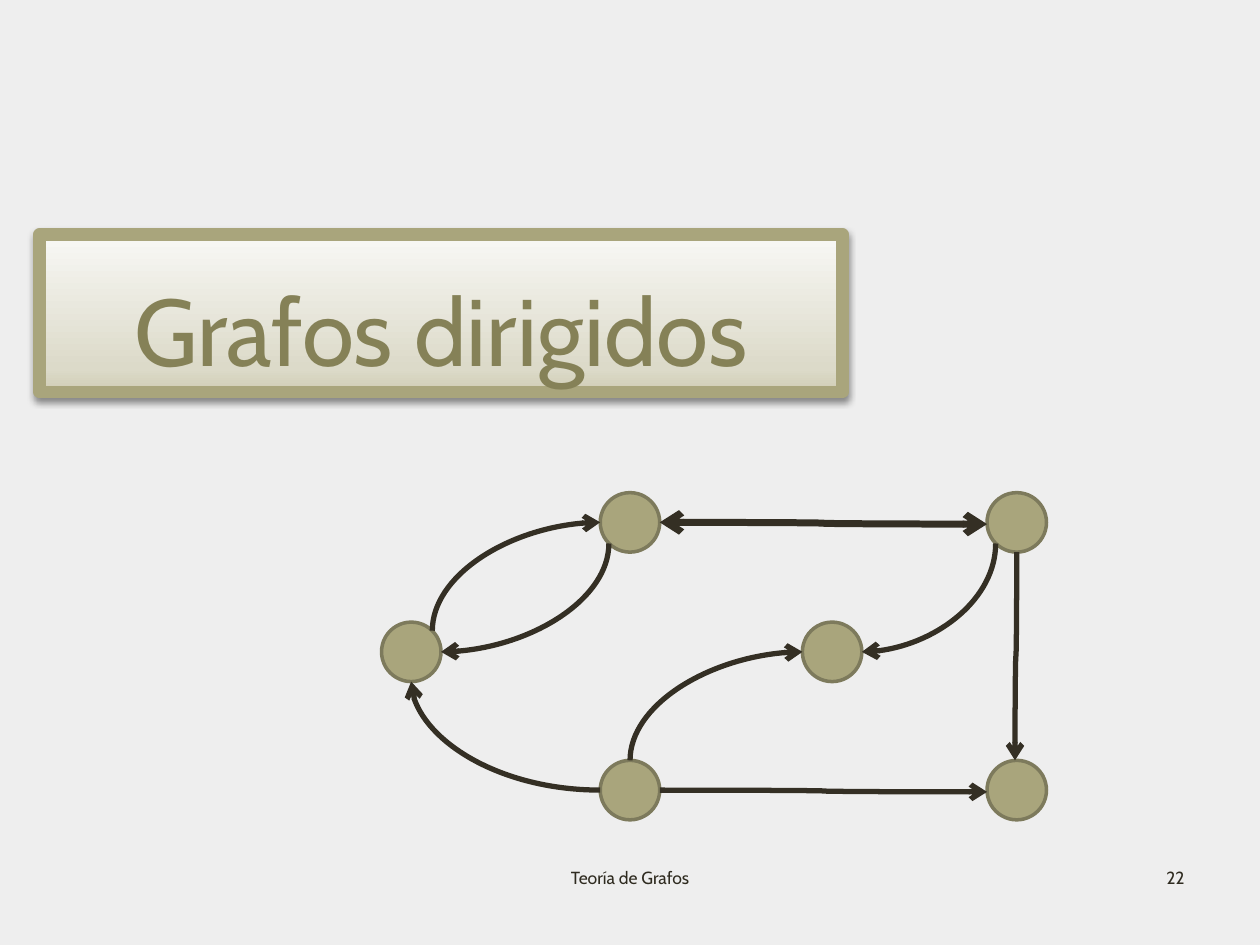
import lxml.etree
import pptx
import pptx.dml.color
import pptx.enum.shapes
import pptx.enum.text
import pptx.oxml.ns
import pptx.util

Pt = pptx.util.Pt
qn = pptx.oxml.ns.qn
ALIGN = pptx.enum.text.PP_ALIGN
ANCHOR = pptx.enum.text.MSO_ANCHOR


def color(value):
    return pptx.dml.color.RGBColor.from_string(value)


def apply(target, values):
    for name, value in values.items():
        setattr(target, name, value)


def add_xml(parent, tag, **attributes):
    return lxml.etree.SubElement(parent, qn(tag), attributes)


class GraphSlide:
    font = "Cabin"
    ink = "2F2B20"
    edge_color = "342F24"
    node_fill = "A9A57C"
    node_line = "7D7A5C"
    diameter = 34
    sites = {
        "top": (0, -1), "bottom": (0, 1), "left": (-1, 0), "right": (1, 0),
        "top_right": (0.71, -0.71), "bottom_left": (-0.71, 0.71),
    }

    def __init__(self, presentation):
        self.slide = presentation.slides.add_slide(presentation.slide_layouts[5])
        self.nodes = {}

    def background(self, value):
        fill = self.slide.background.fill
        fill.solid()
        fill.fore_color.rgb = color(value)

    def set_text(self, shape, text, size, value, alignment, anchor):
        frame = shape.text_frame
        frame.text = text
        apply(frame, {"word_wrap": True, "vertical_anchor": anchor,
                      "auto_size": pptx.enum.text.MSO_AUTO_SIZE.NONE})
        paragraph = frame.paragraphs[0]
        paragraph.alignment = alignment
        apply(paragraph.runs[0].font, {"name": self.font, "size": Pt(size)})
        paragraph.runs[0].font.color.rgb = color(value)

    def outline(self, shape, value, width):
        shape.line.color.rgb = color(value)
        shape.line.width = Pt(width)

    def title(self, text, left, top, width, height, stops):
        shape = self.slide.shapes.title
        apply(shape, {"left": Pt(left), "top": Pt(top),
                      "width": Pt(width), "height": Pt(height)})
        self.set_text(shape, text, 54, "858157", ALIGN.CENTER, ANCHOR.BOTTOM)
        shape.fill.gradient()
        shape.fill.gradient_angle = 90
        properties = shape._element.spPr
        stop_list = properties.find(".//" + qn("a:gsLst"))
        for stop in list(stop_list):
            stop_list.remove(stop)
        for percent, value in stops:
            stop = add_xml(stop_list, "a:gs", pos=str(percent * 1000))
            add_xml(stop, "a:srgbClr", val=value)
        self.outline(shape, self.node_fill, 7)
        shape.shadow.inherit = False
        shadow = add_xml(properties.find(qn("a:effectLst")), "a:outerShdw",
                         blurRad=str(Pt(4)), dist=str(Pt(2)),
                         dir="5400000", rotWithShape="0")
        shade = add_xml(shadow, "a:srgbClr", val="000000")
        add_xml(shade, "a:alpha", val="43000")

    def label(self, text, left, top, width, height, alignment):
        shape = self.slide.shapes.add_textbox(Pt(left), Pt(top), Pt(width), Pt(height))
        self.set_text(shape, text, 10, self.ink, alignment, ANCHOR.TOP)

    def node(self, name, x, y):
        radius = self.diameter / 2
        shape = self.slide.shapes.add_shape(
            pptx.enum.shapes.MSO_SHAPE.OVAL, Pt(x - radius), Pt(y - radius),
            Pt(self.diameter), Pt(self.diameter))
        shape.fill.solid()
        shape.fill.fore_color.rgb = color(self.node_fill)
        self.outline(shape, self.node_line, 2)
        shape.shadow.inherit = False
        self.nodes[name] = x, y

    def anchor(self, name, site):
        return [center + step * self.diameter / 2
                for center, step in zip(self.nodes[name], self.sites[site])]

    def edge(self, start, start_site, end, end_site, preset="curvedConnector2",
             vertical=False, drift=(0, 0), width=3, arrows=("tailEnd",)):
        x1, y1 = self.anchor(start, start_site)
        x2, y2 = [value + shift for value, shift
                  in zip(self.anchor(end, end_site), drift)]
        if vertical:
            x, y = (x1 + x2) / 2, (y1 + y2) / 2
            dx, dy = (x2 - x1) / 2, (y2 - y1) / 2
            x1, y1, x2, y2 = x - dy, y + dx, x + dy, y - dx
        connector = self.slide.shapes.add_connector(
            pptx.enum.shapes.MSO_CONNECTOR.CURVE, Pt(x1), Pt(y1), Pt(x2), Pt(y2))
        properties = connector._element.spPr
        properties.find(qn("a:prstGeom")).set("prst", preset)
        if vertical:
            properties.find(qn("a:xfrm")).set("rot", "5400000")
        self.outline(connector, self.edge_color, width)
        line = properties.find(qn("a:ln"))
        for arrow in arrows:
            add_xml(line, "a:" + arrow, type="arrow")
        add_xml(properties, "a:effectLst")


def main():
    presentation = pptx.Presentation()
    apply(presentation, {"slide_width": Pt(720), "slide_height": Pt(540)})
    graph = GraphSlide(presentation)
    graph.background("EEEEEE")
    graph.title("Grafos dirigidos", 22.5, 134, 459, 90,
                [(0, "D0CDB5"), (15, "DCDAC9"), (100, "F8F8F5")])
    graph.label("22", 516, 492, 168, 37.5, ALIGN.RIGHT)
    graph.label("Teoría de Grafos", 246, 492, 228, 37.5, ALIGN.CENTER)

    columns = {"west": 235, "center": 360, "inner": 475.5, "east": 581}
    rows = {"upper": 298.5, "middle": 372.5, "lower": 451.5}
    for name, column, row in [
        ("west", "west", "middle"),
        ("upper center", "center", "upper"),
        ("lower center", "center", "lower"),
        ("inner", "inner", "middle"),
        ("lower east", "east", "lower"),
        ("upper east", "east", "upper"),
    ]:
        graph.node(name, columns[column], rows[row])

    graph.edge("west", "top_right", "upper center", "left", vertical=True)
    graph.edge("lower center", "top", "inner", "left", vertical=True)
    graph.edge("upper east", "bottom", "lower east", "top", "curvedConnector3",
               vertical=True, drift=(-1, 0))
    graph.edge("upper east", "bottom_left", "inner", "right", vertical=True)
    graph.edge("lower center", "right", "lower east", "left", "curvedConnector3",
               drift=(0, 1))
    graph.edge("upper center", "bottom_left", "west", "right", vertical=True)
    graph.edge("lower center", "left", "west", "bottom")
    graph.edge("upper center", "right", "upper east", "left", "curvedConnector3",
               drift=(0, 1), width=4, arrows=("headEnd", "tailEnd"))
    presentation.save("out.pptx")


if __name__ == "__main__":
    main()
